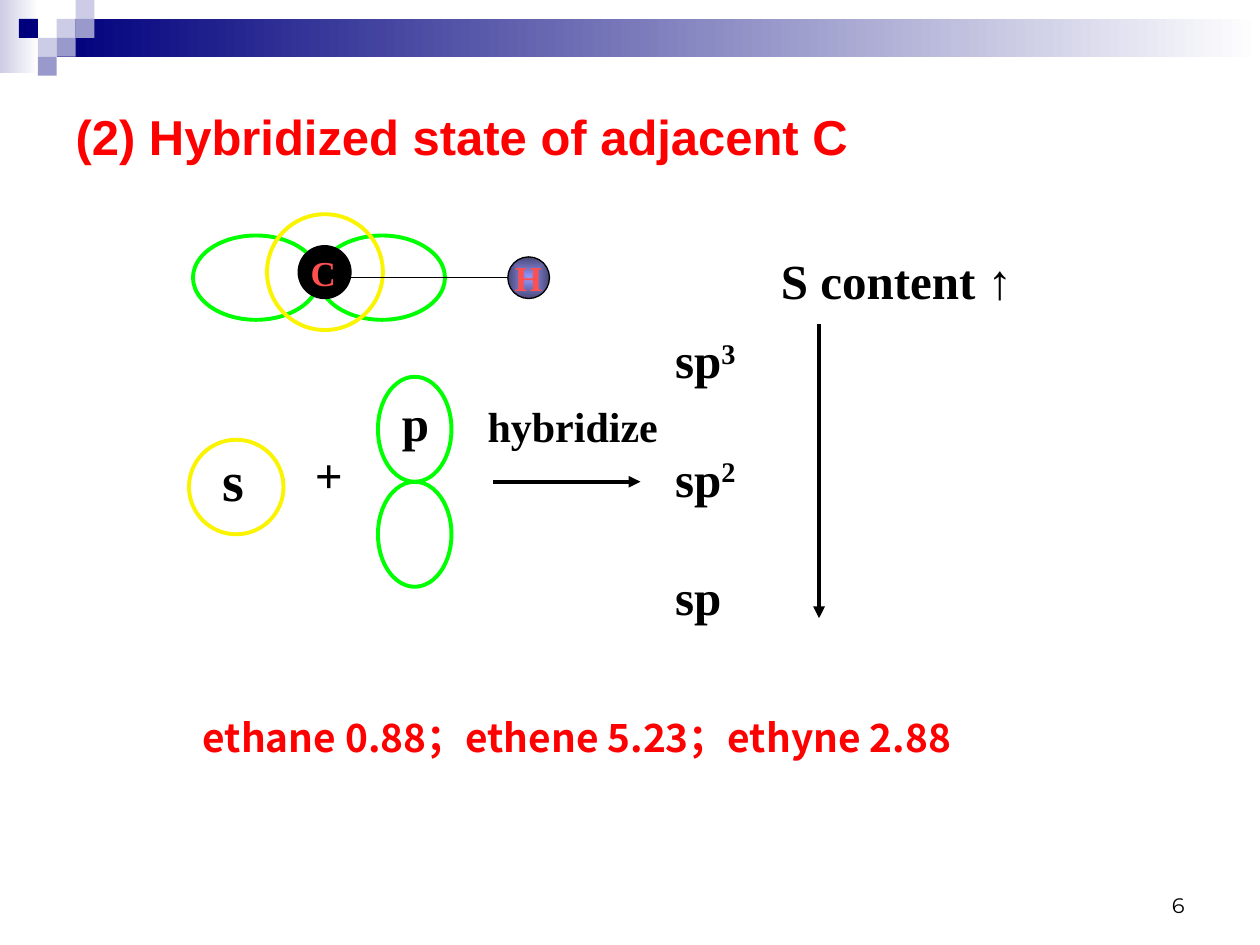
from dataclasses import dataclass
from typing import Optional

from lxml.etree import SubElement
from pptx import Presentation
from pptx.dml.color import RGBColor
from pptx.enum.shapes import MSO_CONNECTOR, MSO_SHAPE
from pptx.enum.text import MSO_ANCHOR as Anchor, MSO_AUTO_SIZE as AutoSize, PP_ALIGN as Align
from pptx.oxml.ns import qn
from pptx.util import Pt

COLORS = {
    "navy": "00007D", "lilac": "CCCCE6", "violet": "9999CC", "white": "FFFFFF",
    "red": "FF0000", "coral": "FF5050", "black": "000000",
    "green": "00FF00", "yellow": "FAF400", "h_center": "9999FF", "h_edge": "474776",
}
SERIF = "Times New Roman"
CJK = "Noto Sans CJK SC"


@dataclass
class Orbital:
    left: float
    top: float
    width: float
    height: float
    line: str
    weight: float = 2.25
    fill: Optional[str] = None


@dataclass
class Label:
    text: str
    left: float
    top: float
    width: float
    height: float
    size: float = 28
    color: str = "black"


@dataclass
class Line:
    x1: float
    y1: float
    x2: float
    y2: float
    weight: float = 2.25
    arrow: bool = True


def rgb(name: str) -> RGBColor:
    return RGBColor.from_string(COLORS[name])


def add_run(paragraph, text: str, size: float, color: str, font: str = SERIF, bold: bool = True):
    run = paragraph.add_run()
    run.text = text
    run.font.size, run.font.name, run.font.bold = Pt(size), font, bold
    run.font.color.rgb = rgb(color)
    return run


def fill_gradient(shape, start: str, end: str) -> None:
    shape.fill.gradient()
    shape.fill.gradient_angle = 0
    for stop, color in zip(shape.fill.gradient_stops, (start, end)):
        stop.color.rgb = rgb(color)


def add_block(slide, left: float, top: float, width: float, height: float,
              color: str, fade_to: Optional[str] = None) -> None:
    block = slide.shapes.add_shape(MSO_SHAPE.RECTANGLE, Pt(left), Pt(top), Pt(width), Pt(height))
    block.shadow.inherit = False
    block.line.fill.background()
    if fade_to:
        fill_gradient(block, color, fade_to)
    else:
        block.fill.solid()
        block.fill.fore_color.rgb = rgb(color)


def add_orbital(slide, orbital: Orbital):
    oval = slide.shapes.add_shape(MSO_SHAPE.OVAL, Pt(orbital.left), Pt(orbital.top),
                                  Pt(orbital.width), Pt(orbital.height))
    oval.shadow.inherit = False
    oval.line.color.rgb = rgb(orbital.line)
    oval.line.width = Pt(orbital.weight)
    if orbital.fill:
        oval.fill.solid()
        oval.fill.fore_color.rgb = rgb(orbital.fill)
    else:
        oval.fill.background()
    return oval


def add_frame(slide, left: float, top: float, width: float, height: float, wrap: bool = False):
    box = slide.shapes.add_textbox(Pt(left), Pt(top), Pt(width), Pt(height))
    box.text_frame.word_wrap = wrap
    if not wrap:
        box.text_frame.auto_size = AutoSize.SHAPE_TO_FIT_TEXT
    return box.text_frame


def add_label(slide, label: Label) -> None:
    frame = add_frame(slide, label.left, label.top, label.width, label.height)
    add_run(frame.paragraphs[0], label.text, label.size, label.color)


def add_line(slide, line: Line) -> None:
    connector = slide.shapes.add_connector(MSO_CONNECTOR.STRAIGHT, Pt(line.x1), Pt(line.y1),
                                           Pt(line.x2), Pt(line.y2))
    connector.line.color.rgb = rgb("black")
    connector.line.width = Pt(line.weight)
    if line.arrow:
        SubElement(connector.line._get_or_add_ln(), qn("a:tailEnd"), type="triangle")
    SubElement(connector._element.spPr, qn("a:effectLst"))


def add_banner(slide) -> None:
    add_block(slide, 0, 0, 22, 41.8, "lilac", "white")
    add_block(slide, 32.4, 10.8, 687.6, 21.6, "navy", "white")
    side = 10.8
    squares = [(3, 1, "lilac"), (4, 0, "lilac"), (4, 1, "violet"), (2, 2, "lilac"),
               (1, 1, "navy"), (3, 2, "violet"), (2, 3, "violet")]
    for column, row, color in squares:
        add_block(slide, column * side, row * side, side, side, color)


def add_hydrogen(slide) -> None:
    atom = add_orbital(slide, Orbital(290.2, 146.8, 23.8, 23.8, "black", 0.75))
    fill_gradient(atom, "h_center", "h_edge")
    # Radiate the gradient from the middle
    gradient = atom._element.spPr.find(qn("a:gradFill"))
    gradient.remove(gradient.find(qn("a:lin")))
    radial = SubElement(gradient, qn("a:path"), {"path": "rect"})
    SubElement(radial, qn("a:fillToRect"), dict.fromkeys("ltrb", "50000"))
    frame = atom.text_frame
    frame.word_wrap = False
    frame.vertical_anchor = Anchor.MIDDLE
    frame.paragraphs[0].alignment = Align.CENTER
    add_run(frame.paragraphs[0], "H", 20, "coral")


def add_hybrids(slide) -> None:
    frame = add_frame(slide, 378.7, 185, 49, 175.7)
    for index, power in enumerate(("3", "2", "")):
        paragraph = frame.add_paragraph() if index else frame.paragraphs[0]
        if index:
            paragraph.space_before = Pt(34)
        add_run(paragraph, "sp", 28, "black")
        if power:
            raised = add_run(paragraph, power, 28, "black")
            raised.font._element.set("baseline", "30000")


def main() -> None:
    prs = Presentation()
    prs.slide_width, prs.slide_height = Pt(720), Pt(540)
    slide = prs.slides.add_slide(prs.slide_layouts[5])

    # Title
    title = slide.shapes.title
    title.left, title.top, title.width, title.height = Pt(36), Pt(36), Pt(648), Pt(82.8)
    title.text_frame.vertical_anchor = Anchor.MIDDLE
    heading = title.text_frame.paragraphs[0]
    heading.alignment = Align.LEFT
    add_run(heading, "(2) Hybridized state of adjacent C", 28, "red", "Arial")

    add_banner(slide)

    # Carbon with its orbitals, bonded to hydrogen
    for orbital in (
        Orbital(110.3, 134.6, 72, 48.2, "green"),
        Orbital(182.3, 134.6, 72, 48.2, "green"),
        Orbital(170.4, 140.4, 30.2, 30.2, "black", 0.75, "black"),
        Orbital(152.6, 122.4, 66.2, 66.2, "yellow"),
    ):
        add_orbital(slide, orbital)
    add_label(slide, Label("C", 170.4, 140.4, 29, 31.5, 20, "coral"))
    add_line(slide, Line(200.2, 158.6, 290.2, 158.6, 0.75, False))
    add_hydrogen(slide)

    # s and p orbitals that combine
    for orbital in (
        Orbital(108, 251.3, 54, 54, "yellow"),
        Orbital(216, 215.3, 42, 60, "green"),
        Orbital(216, 275.3, 42, 60, "green"),
    ):
        add_orbital(slide, orbital)
    for label in (
        Label("s", 120, 251.3, 26.6, 46, 32),
        Label("p", 222.5, 221, 29.5, 41),
        Label("+", 172.8, 250.5, 30.2, 41),
        Label("hybridize", 271.5, 225.4, 111.6, 36, 24),
        Label("S content ↑", 439.2, 139.7, 146.2, 41),
    ):
        add_label(slide, label)
    add_line(slide, Line(282, 275.3, 366, 275.3))

    # Hybrid states in order of s content
    add_hybrids(slide)
    add_line(slide, Line(468, 185.3, 468, 353.3))

    # Values for the three hydrocarbons
    values = add_frame(slide, 108.7, 407.5, 520.6, 47.5, wrap=True).paragraphs[0]
    values.line_spacing = 0.9
    run = add_run(values, "ethane 0.88；ethene 5.23；ethyne 2.88", 22.2, "red", CJK)
    SubElement(run.font._element, qn("a:ea"), typeface=CJK)

    # Page number
    footer = add_frame(slide, 516.2, 491.8, 167.8, 36, wrap=True)
    footer.vertical_anchor = Anchor.BOTTOM
    footer.paragraphs[0].alignment = Align.RIGHT
    add_run(footer.paragraphs[0], "6", 12, "black", "Montserrat", False)

    prs.save("out.pptx")


if __name__ == "__main__":
    main()
